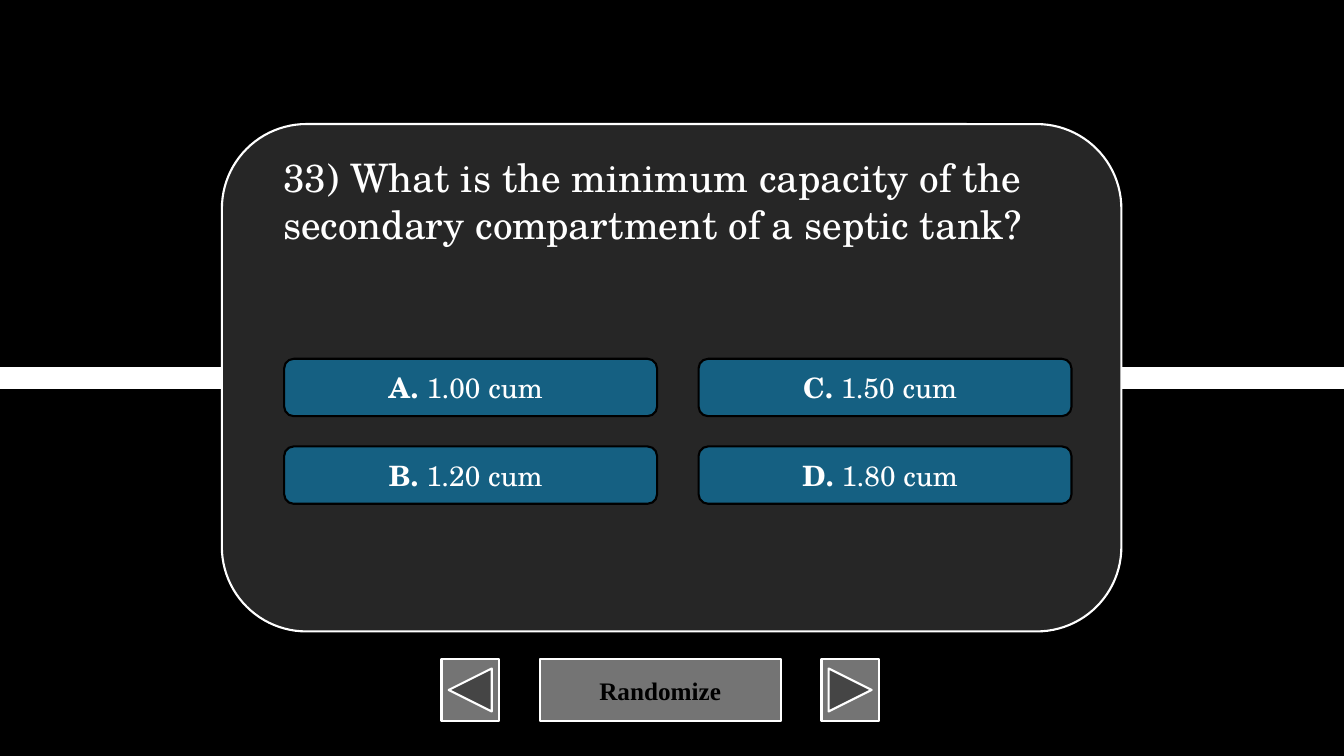
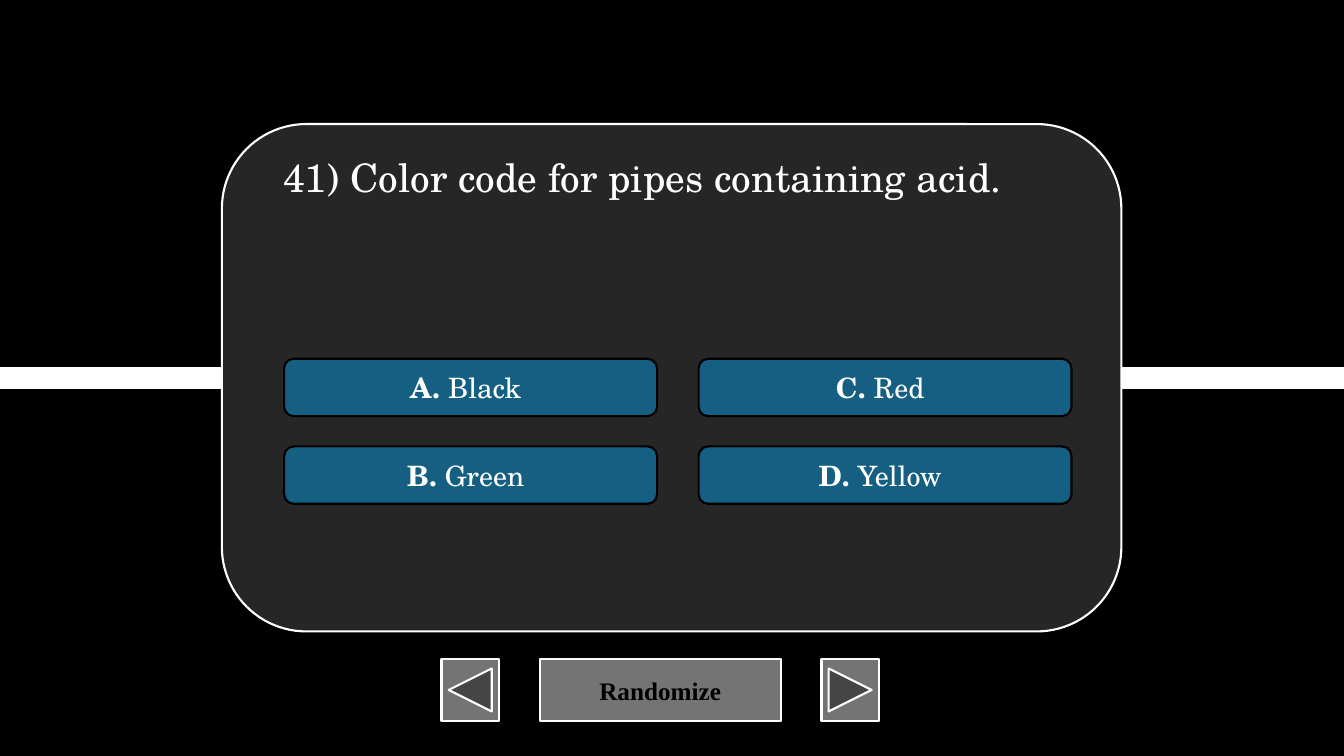
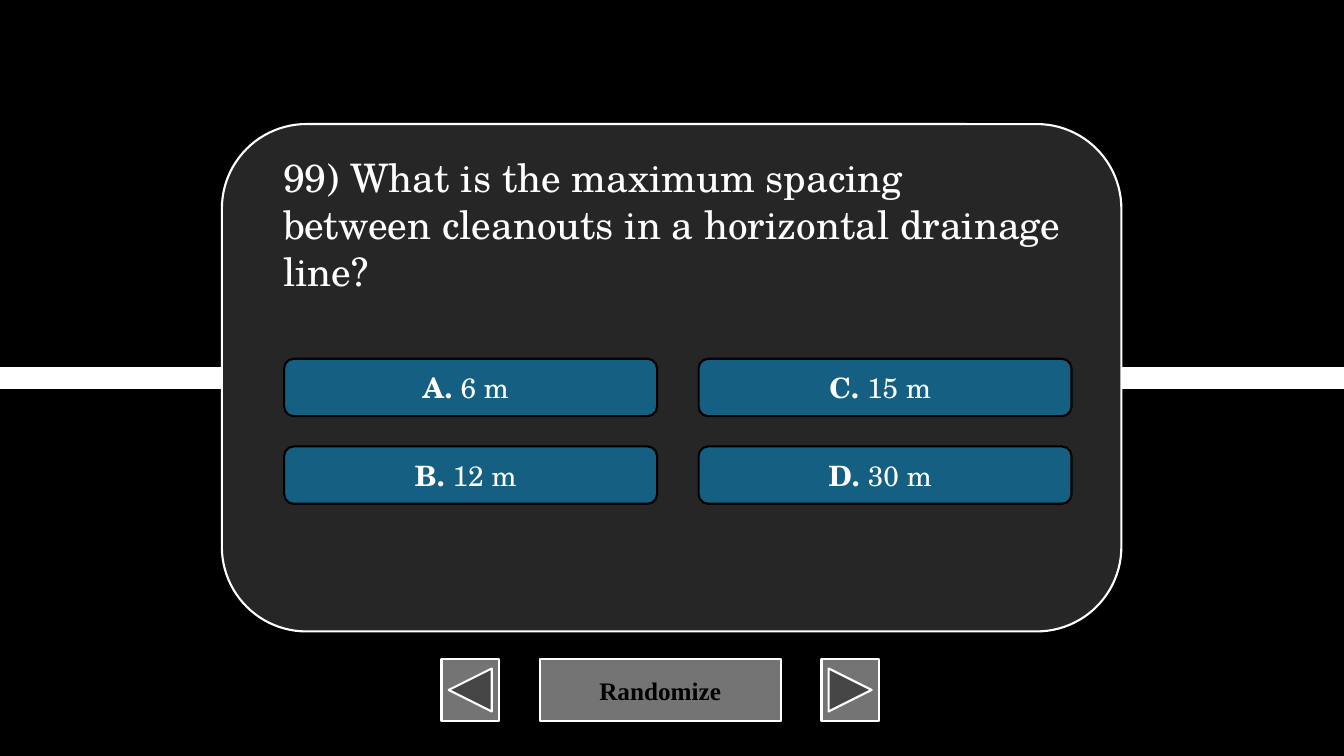
"""Build three multiple-choice quiz slides on plumbing."""
from lxml import etree
from pptx import Presentation
from pptx.dml.color import RGBColor
from pptx.enum.shapes import MSO_CONNECTOR, MSO_SHAPE
from pptx.enum.text import MSO_ANCHOR, MSO_AUTO_SIZE, PP_ALIGN
from pptx.oxml.ns import qn
from pptx.util import Pt

STRAIGHT = MSO_CONNECTOR.STRAIGHT
ROUNDED = MSO_SHAPE.ROUNDED_RECTANGLE
BACK = MSO_SHAPE.ACTION_BUTTON_BACK_OR_PREVIOUS
BLANK = MSO_SHAPE.ACTION_BUTTON_CUSTOM
FORWARD = MSO_SHAPE.ACTION_BUTTON_FORWARD_OR_NEXT
MIDDLE = MSO_ANCHOR.MIDDLE
GROW = MSO_AUTO_SIZE.SHAPE_TO_FIT_TEXT
LEFT, CENTER = PP_ALIGN.LEFT, PP_ALIGN.CENTER

WIDTH, HEIGHT = 960, 540
QUIZ_FONT, BUTTON_FONT = "TeX Gyre Schola", "Times New Roman"
COLORS = {
    "background": "000000",
    "light": "FFFFFF",
    "dark": "000000",
    "panel": "262626",
    "answer": "156082",
    "button": "747474",
}
BUTTONS = [(BACK, 41, ""), (BLANK, 172, "Randomize"), (FORWARD, 41, "")]
QUESTIONS = [
    ("33) What is the minimum capacity of the secondary compartment of a septic tank?",
     ["1.00 cum", "1.20 cum", "1.50 cum", "1.80 cum"]),
    ("41) Color code for pipes containing acid.",
     ["Black", "Green", "Red", "Yellow"]),
    ("99) What is the maximum spacing between cleanouts in a horizontal drainage line?",
     ["6 m", "12 m", "15 m", "30 m"]),
]


def color(name):
    return RGBColor.from_string(COLORS[name])


def add_run(paragraph, text, size=20, font=QUIZ_FONT, fill="light", bold=False, align=CENTER):
    paragraph.alignment = align
    run = paragraph.add_run()
    run.text = text
    run.font.size = Pt(size)
    run.font.name = font
    run.font.bold = bold
    run.font.color.rgb = color(fill)


def add_box(slide, kind, left, top, width, height, fill, line="light"):
    shape = slide.shapes.add_shape(kind, Pt(left), Pt(top), Pt(width), Pt(height))
    shape.shadow.inherit = False
    shape.fill.solid()
    shape.fill.fore_color.rgb = color(fill)
    shape.line.color.rgb = color(line)
    shape.line.width = Pt(1.5)
    shape.text_frame.vertical_anchor = MIDDLE
    return shape


def add_band(slide):
    band = slide.shapes.add_connector(STRAIGHT, 0, Pt(HEIGHT / 2), Pt(WIDTH), Pt(HEIGHT / 2))
    band.line.color.rgb = color("light")
    band.line.width = Pt(16)
    etree.SubElement(band._element.spPr, qn("a:effectLst"))


def add_buttons(slide, left=315.4, top=470.9, height=43.9, gap=29.2):
    for kind, width, label in BUTTONS:
        button = add_box(slide, kind, left, top, width, height, "button")
        if label:
            add_run(button.text_frame.paragraphs[0], label,
                    size=18, font=BUTTON_FONT, fill="dark", bold=True)
        left += width + gap


def add_answers(slide, answers, left=203, top=256.3, column_step=296, row_step=62.6):
    for index, (letter, answer) in enumerate(zip("ABCD", answers)):
        column, row = divmod(index, 2)
        box = add_box(slide, ROUNDED, left + column * column_step, top + row * row_step,
                      266.4, 41, "answer", line="dark")
        box.text_frame.margin_right = Pt(14)
        paragraph = box.text_frame.paragraphs[0]
        add_run(paragraph, f"{letter}. ", bold=True)
        add_run(paragraph, answer)


def add_question(slide, question):
    shape = slide.shapes.add_textbox(Pt(195.1), Pt(105.8), Pt(570.2), Pt(75))
    shape.text_frame.word_wrap = True
    shape.text_frame.auto_size = GROW
    add_run(shape.text_frame.paragraphs[0], question, size=28, align=LEFT)


def add_quiz_slide(presentation, question, answers):
    slide = presentation.slides.add_slide(presentation.slide_layouts[6])
    slide.background.fill.solid()
    slide.background.fill.fore_color.rgb = color("background")
    add_band(slide)
    add_buttons(slide)
    add_box(slide, ROUNDED, 158.5, 88.6, 642.5, 362.4, "panel")
    add_answers(slide, answers)
    add_question(slide, question)


def main():
    presentation = Presentation()
    presentation.slide_width = Pt(WIDTH)
    presentation.slide_height = Pt(HEIGHT)
    for question, answers in QUESTIONS:
        add_quiz_slide(presentation, question, answers)
    presentation.save("out.pptx")


if __name__ == "__main__":
    main()
